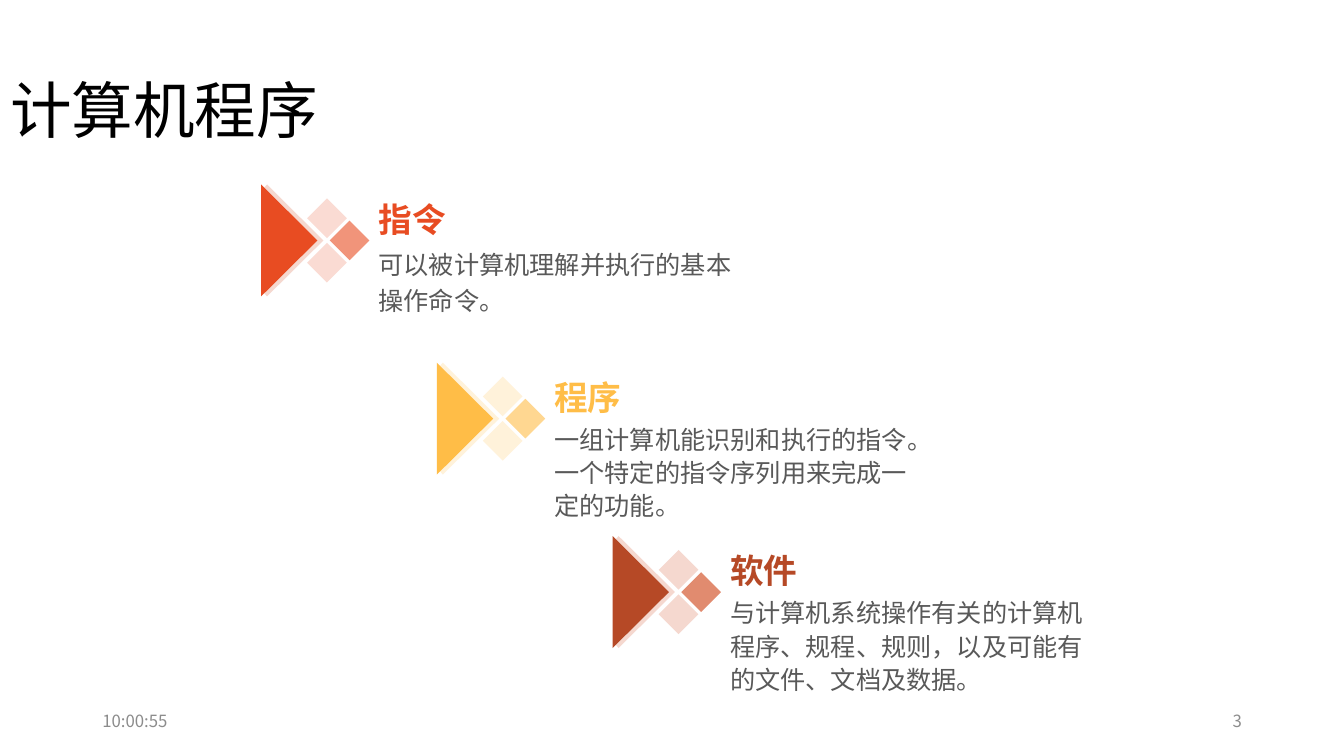
from dataclasses import dataclass

from lxml.etree import SubElement
from pptx import Presentation
from pptx.dml.color import RGBColor
from pptx.enum.shapes import MSO_SHAPE as Kind
from pptx.enum.text import MSO_ANCHOR as Anchor, MSO_AUTO_SIZE as Fit, PP_ALIGN as Align
from pptx.oxml.ns import qn
from pptx.util import Cm, Pt

FONT = "Noto Sans CJK SC"
BLACK = RGBColor(0x00, 0x00, 0x00)
DARK = RGBColor(0x59, 0x59, 0x59)
GRAY = RGBColor(0x8C, 0x8C, 0x8C)
RED = RGBColor(0xE8, 0x4C, 0x22)
CORAL = RGBColor(0xF1, 0x94, 0x7A)
BLUSH = RGBColor(0xFA, 0xDB, 0xD3)
GOLD = RGBColor(0xFF, 0xBD, 0x47)
SAND = RGBColor(0xFF, 0xD7, 0x91)
CREAM = RGBColor(0xFF, 0xF2, 0xDA)
RUST = RGBColor(0xB6, 0x49, 0x26)
CLAY = RGBColor(0xE1, 0x8B, 0x6F)
ROSE = RGBColor(0xF5, 0xD8, 0xCF)

LEFT, STEP = 6.58, 4.43
WEDGE = [(0, 0), (1.42, 1.41), (0, 2.82)]
EDGE = [(0.15, 0), (1.57, 1.41), (0.15, 2.82), (0.08, 2.74), (1.42, 1.41), (0.08, 0.08)]


@dataclass
class Term:
    name: str
    text: str
    top: float
    space: float
    main: RGBColor
    mid: RGBColor
    pale: RGBColor
    edge: RGBColor


@dataclass
class Style:
    size: int
    color: RGBColor
    bold: bool = False
    space: float = 1.0
    align: Align = Align.LEFT
    anchor: Anchor = Anchor.TOP


TERMS = [
    Term("指令", "可以被计算机理解并执行的基本操作命令。",
         4.65, 1.2, RED, CORAL, BLUSH, ROSE),
    Term("程序", "一组计算机能识别和执行的指令。\n一个特定的指令序列用来完成一定的功能。",
         9.14, 1.1, GOLD, SAND, CREAM, CREAM),
    Term("软件", "与计算机系统操作有关的计算机程序、规程、规则，以及可能有的文件、文档及数据。",
         13.51, 1.1, RUST, CLAY, ROSE, ROSE),
]


def write(shape, text: str, style: Style) -> None:
    frame = shape.text_frame
    frame.text = text
    frame.word_wrap = True
    frame.auto_size = Fit.NONE
    frame.vertical_anchor = style.anchor
    for para in frame.paragraphs:
        para.alignment = style.align
        para.line_spacing = style.space
        for run in para.runs:
            font = run.font
            font.name = FONT
            font.size = Pt(style.size)
            font.bold = style.bold
            font.color.rgb = style.color
            SubElement(run._r.get_or_add_rPr(), qn("a:ea")).set("typeface", FONT)


def label(slide, x: float, y: float, wide: float, high: float,
          text: str, style: Style) -> None:
    write(slide.shapes.add_textbox(Cm(x), Cm(y), Cm(wide), Cm(high)), text, style)


def paint(shape, color: RGBColor) -> None:
    shape.fill.solid()
    shape.fill.fore_color.rgb = color
    shape.line.fill.background()
    shape.shadow.inherit = False


def outline(slide, x: float, y: float, dots: list[tuple[float, float]],
            color: RGBColor) -> None:
    spots = [(Cm(x + dx), Cm(y + dy)) for dx, dy in dots]
    form = slide.shapes.build_freeform(*spots[0])
    form.add_line_segments(spots[1:], close=True)
    paint(form.convert_to_shape(), color)


def draw(slide, term: Term, x: float) -> None:
    """Draw one term: arrow, three diamonds, heading and body."""
    y = term.top
    for dx, dy, color in [(1.16, 0.35, term.pale), (1.16, 1.47, term.pale),
                          (1.73, 0.91, term.mid)]:
        gem = slide.shapes.add_shape(Kind.DIAMOND, Cm(x + dx), Cm(y + dy), Cm(1), Cm(1))
        paint(gem, color)
    outline(slide, x, y, EDGE, term.edge)
    outline(slide, x, y, WEDGE, term.main)
    label(slide, x + 2.71, y + 1.35, 9.73, 2.92, term.text,
          Style(18, DARK, space=term.space))
    label(slide, x + 2.71, y, 9.73, 1.5, term.name,
          Style(24, term.main, bold=True, anchor=Anchor.BOTTOM))


def main() -> None:
    deck = Presentation()
    deck.slide_width, deck.slide_height = Cm(33.87), Cm(19.05)
    slide = deck.slides.add_slide(deck.slide_layouts[5])
    title = slide.shapes.title
    title.left, title.top, title.width, title.height = Cm(0), Cm(1.02), Cm(29.21), Cm(3.68)
    write(title, "计算机程序", Style(44, BLACK, space=0.9, anchor=Anchor.MIDDLE))
    for i, term in enumerate(TERMS):
        draw(slide, term, LEFT + i * STEP)
    for x, text, align in [(23.93, "3", Align.RIGHT), (2.33, "10:00:55", Align.LEFT)]:
        label(slide, x, 17.66, 7.62, 1.01, text,
              Style(12, GRAY, align=align, anchor=Anchor.MIDDLE))
    deck.save("out.pptx")


if __name__ == "__main__":
    main()
